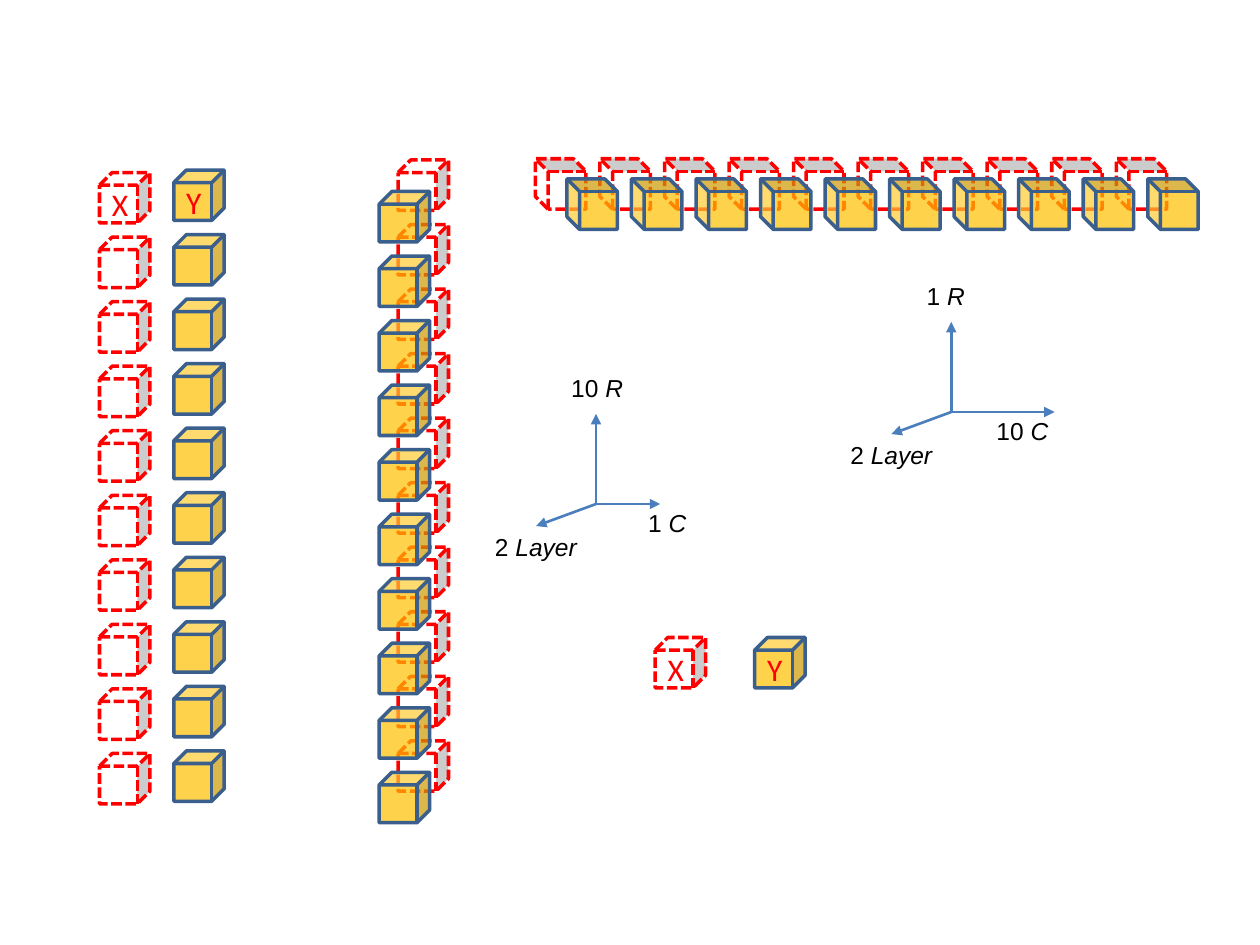
from pptx import Presentation, util as u
from pptx.dml.color import RGBColor
from pptx.enum import dml, shapes, text
from pptx.oxml.ns import qn
from lxml import etree

COLUMNS, ROWS = 100, 75
COUNT = 10
PITCH = 46.1 / (COUNT - 1)
CUBE = 4


def color(hex_string):
    return RGBColor.from_string(hex_string)


class CubeDiagram:
    """Holds the style and the slide; lengths are columns and rows of the grid."""

    red, amber, edge, axis_color = "FF0000", "FFC000", "3A5F8C", "4B7EBC"

    def __init__(self, presentation):
        self.slide = presentation.slides.add_slide(presentation.slide_layouts[6])
        self.column = presentation.slide_width / COLUMNS
        self.row = presentation.slide_height / ROWS
        self.container = self.slide.shapes

    def start_group(self):
        """Send the elements that follow into a new group."""
        self.container = self.slide.shapes.add_group_shape().shapes

    def end_group(self):
        self.container = self.slide.shapes

    def place(self, *lengths):
        """Turn alternating columns and rows into slide lengths."""
        return [u.Emu(round(length * (self.row if index % 2 else self.column)))
                for index, length in enumerate(lengths)]

    def cube(self, left, top, solid, letter="", rotation=0):
        shape = self.container.add_shape(
            shapes.MSO_SHAPE.CUBE, *self.place(left, top, CUBE, CUBE))
        shape.shadow.inherit = False
        shape.rotation = rotation
        shape.fill.solid()
        shape.line.width = u.Pt(2)
        if solid:
            shape.fill.fore_color.rgb = color(self.amber)
            fill = shape._element.spPr.find(qn("a:solidFill"))
            etree.SubElement(fill[0], qn("a:alpha"), val="70000")
            shape.line.color.rgb = color(self.edge)
        else:
            shape.fill.fore_color.rgb = color("FFFFFF")
            shape.line.color.rgb = color(self.red)
            shape.line.dash_style = dml.MSO_LINE.SQUARE_DOT
        if letter:
            frame = shape.text_frame
            frame.vertical_anchor = text.MSO_ANCHOR.MIDDLE
            paragraph = frame.paragraphs[0]
            paragraph.text = letter
            paragraph.alignment = text.PP_ALIGN.CENTER
            self.set_font(paragraph, "Calibri", 18, self.red)

    def cube_line(self, left, top, solid, across=False, letter=""):
        """Draw ten cubes in a row or a column; the letter goes on the first."""
        for index in range(COUNT):
            step = index * PITCH
            self.cube(left + step * across, top + step * (not across), solid,
                      letter if index == 0 else "", 270 if across else 0)

    def arrow(self, x, y, dx, dy):
        connector = self.container.add_connector(
            shapes.MSO_CONNECTOR.STRAIGHT, *self.place(x, y, x + dx, y + dy))
        connector.line.color.rgb = color(self.axis_color)
        connector.line.width = u.Pt(1.5)
        properties = connector._element.spPr
        etree.SubElement(properties.find(qn("a:ln")), qn("a:tailEnd"), type="triangle")
        etree.SubElement(properties, qn("a:effectLst"))

    def label(self, left, top, width, number, name):
        box = self.container.add_textbox(*self.place(left, top, width, 3.4))
        frame = box.text_frame
        frame.word_wrap = False
        frame.auto_size = text.MSO_AUTO_SIZE.SHAPE_TO_FIT_TEXT
        paragraph = frame.paragraphs[0]
        self.set_font(paragraph, "Arial", 14, "000000")
        paragraph.add_run().text = f"{number} "
        name_run = paragraph.add_run()
        name_run.text = name
        name_run.font.italic = True

    def set_font(self, paragraph, name, size, hex_string):
        paragraph.font.name = name
        paragraph.font.size = u.Pt(size)
        paragraph.font.color.rgb = color(hex_string)

    def axes(self, x, y, row_count, column_count, column_length):
        """Draw row, column and layer axes from one corner."""
        def width(count):
            return 6.2 if count >= 10 else 5.1

        self.start_group()
        self.arrow(x, y, 0, -7.15)
        self.label(x - 2.95, y - 10.85, width(row_count), row_count, "R")
        self.arrow(x, y, column_length, 0)
        column_width = width(column_count)
        self.label(x + 5.7 - column_width / 2, y - 0.2, column_width, column_count, "C")
        self.arrow(x, y, -4.75, 1.75)
        self.label(x - 9, y + 1.75, 8.5, 2, "Layer")
        self.end_group()

    def cube_pair(self, dashed, solid, across=False, letters=("", "")):
        """Draw a line of dashed cubes, then a line of solid ones, as a group."""
        self.start_group()
        self.cube_line(*dashed, False, across, letters[0])
        self.cube_line(*solid, True, across, letters[1])
        self.end_group()


def main():
    presentation = Presentation()
    presentation.slide_width, presentation.slide_height = u.Inches(10), u.Inches(7.5)
    diagram = CubeDiagram(presentation)

    diagram.cube_pair((31.6, 12.7), (30.1, 15.2))
    diagram.axes(47.3, 40, 10, 1, 5.1)
    diagram.cube_pair((42.5, 12.6), (45, 14.2), across=True)
    diagram.axes(75.5, 32.7, 1, 10, 8.2)
    diagram.cube(52, 50.6, False, "X")
    diagram.cube(59.9, 50.6, True, "Y")
    diagram.cube_pair((7.9, 13.7), (13.8, 13.5), letters=("X", "Y"))

    presentation.save("out.pptx")


if __name__ == "__main__":
    main()
